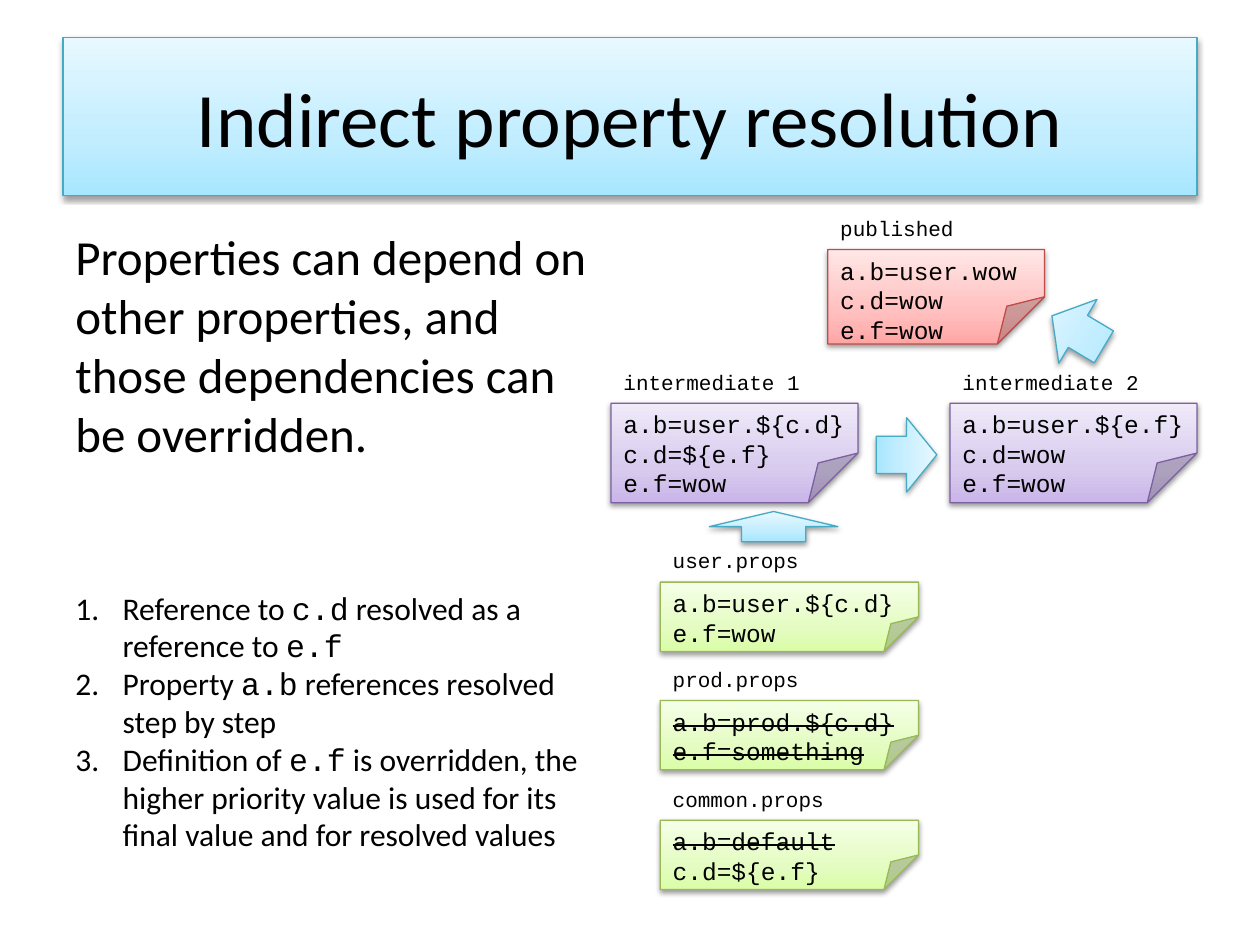
from copy import deepcopy
from dataclasses import dataclass

from lxml.etree import SubElement
from pptx import Presentation
from pptx.dml.color import RGBColor
from pptx.enum.shapes import MSO_SHAPE
from pptx.enum.text import MSO_ANCHOR, MSO_AUTO_SIZE, PP_ALIGN
from pptx.oxml.ns import qn
from pptx.util import Pt

EMU_PER_PX = 9144


@dataclass(frozen=True)
class Palette:
    bottom: str
    middle: str
    top: str
    outline: str


@dataclass(frozen=True)
class Theme:
    blue: Palette = Palette("A7E6FF", "C1EDFF", "E7F8FF", "46AAC5")
    green: Palette = Palette("DAFDA7", "E4FCC2", "F5FFE7", "98B955")
    red: Palette = Palette("FFA6A5", "FFC0BF", "FFE7E7", "BF4C48")
    purple: Palette = Palette("C9B5E8", "D8CBEE", "F0EAF9", "7D60A0")
    ink: str = "000000"
    prose: str = "Calibri"
    mono: str = "Courier New"
    title_size: int = 44
    body_size: int = 28
    list_size: int = 18
    code_size: int = 14
    label_size: int = 12


class SlideBuilder:
    def __init__(self, slide, theme):
        self.slide = slide
        self.theme = theme

    def px(self, *lengths):
        return [length * EMU_PER_PX for length in lengths]

    def run(self, paragraph, words, size, font, struck=False):
        run = paragraph.add_run()
        run.text = words
        run.font.size = Pt(size)
        run.font.name = font
        run.font.color.rgb = RGBColor.from_string(self.theme.ink)
        if struck:
            run._r.get_or_add_rPr().set("strike", "sngStrike")

    def paragraphs(self, frame, count):
        frame.word_wrap = True
        return [frame.paragraphs[0]] + [frame.add_paragraph() for _ in range(count - 1)]

    def panel(self, shapes, kind, box, palette):
        panel = shapes.add_shape(kind, *self.px(*box))
        panel.fill.gradient()
        panel.fill.gradient_angle = 90
        stops = panel._element.spPr.find(qn("a:gradFill")).find(qn("a:gsLst"))
        stops.insert(1, deepcopy(stops[0]))
        colours = (palette.bottom, palette.middle, palette.top)
        for stop, colour, position in zip(panel.fill.gradient_stops, colours, (0, 0.35, 1)):
            stop.color.rgb = RGBColor.from_string(colour)
            stop.position = position
        panel.line.color.rgb = RGBColor.from_string(palette.outline)
        panel.line.width = Pt(0.75)
        panel.shadow.inherit = False
        effects = panel._element.spPr.find(qn("a:effectLst"))
        shadow = SubElement(effects, qn("a:outerShdw"), blurRad="40000", dist="20000",
                            dir="5400000", rotWithShape="0")
        shade = SubElement(shadow, qn("a:srgbClr"), val=self.theme.ink)
        SubElement(shade, qn("a:alpha"), val="38000")
        return panel

    def title(self, words, box):
        banner = self.panel(self.slide.shapes, MSO_SHAPE.RECTANGLE, box, self.theme.blue)
        banner.text_frame.vertical_anchor = MSO_ANCHOR.MIDDLE
        heading = self.paragraphs(banner.text_frame, 1)[0]
        heading.alignment = PP_ALIGN.CENTER
        self.run(heading, words, self.theme.title_size, self.theme.prose)

    def text(self, shapes, words, box, size, font):
        frame = shapes.add_textbox(*self.px(*box)).text_frame
        self.run(self.paragraphs(frame, 1)[0], words, size, font)

    def numbered_list(self, items, box):
        frame = self.slide.shapes.add_textbox(*self.px(*box)).text_frame
        frame.vertical_anchor = MSO_ANCHOR.BOTTOM
        frame.auto_size = MSO_AUTO_SIZE.SHAPE_TO_FIT_TEXT
        for paragraph, pieces in zip(self.paragraphs(frame, len(items)), items):
            properties = paragraph._p.get_or_add_pPr()
            properties.set("marL", "342900")
            properties.set("indent", "-342900")
            SubElement(properties, qn("a:buAutoNum"), type="arabicPeriod")
            for index, words in enumerate(pieces):
                font = self.theme.mono if index % 2 else self.theme.prose
                self.run(paragraph, words, self.theme.list_size, font)

    def note(self, label, lines, box, palette, struck=0):
        left, top, width, _ = box
        shapes = self.slide.shapes.add_group_shape().shapes
        page = self.panel(shapes, MSO_SHAPE.FOLDED_CORNER, box, palette)
        geometry = page._element.spPr.find(qn("a:prstGeom"))
        SubElement(geometry.get_or_add_avLst(), qn("a:gd"), name="adj", fmla="val 49900")
        page.text_frame.vertical_anchor = MSO_ANCHOR.TOP
        for index, paragraph in enumerate(self.paragraphs(page.text_frame, len(lines))):
            paragraph.alignment = PP_ALIGN.LEFT
            self.run(paragraph, lines[index], self.theme.code_size, self.theme.mono,
                     index < struck)
        self.text(shapes, label, (left, top - 32, width, 30),
                  self.theme.label_size, self.theme.mono)

    def arrow(self, box, rotation=0):
        arrow = self.panel(self.slide.shapes, MSO_SHAPE.UP_ARROW, box, self.theme.blue)
        arrow.rotation = rotation


def main():
    deck = Presentation()
    deck.slide_width, deck.slide_height = 1000 * EMU_PER_PX, 750 * EMU_PER_PX
    theme = Theme()
    builder = SlideBuilder(deck.slides.add_slide(deck.slide_layouts[6]), theme)

    builder.title("Indirect property resolution", (50, 30, 900, 125))
    builder.text(
        builder.slide.shapes,
        "Properties can depend on other properties, and those dependencies can be overridden.",
        (50, 175, 442, 263), theme.body_size, theme.prose)
    builder.numbered_list([
        ("Reference to ", "c.d", " resolved as a reference to ", "e.f"),
        ("Property ", "a.b", " references resolved step by step"),
        ("Definition of ", "e.f", " is overridden, the higher priority value is used"
         " for its final value and for resolved values"),
    ], (50, 460, 442, 222))

    sources = [
        ("user.props", ("a.b=user.${c.d}", "e.f=wow"), 0),
        ("prod.props", ("a.b=prod.${c.d}", "e.f=something"), 2),
        ("common.props", ("a.b=default", "c.d=${e.f}"), 1),
    ]
    for index, (label, lines, struck) in enumerate(sources):
        top = 462 + index * 189 // 2
        builder.note(label, lines, (524, top, 205, 55), theme.green, struck)

    intermediates = [
        ("intermediate 1", ("a.b=user.${c.d}", "c.d=${e.f}", "e.f=wow"), 485),
        ("intermediate 2", ("a.b=user.${e.f}", "c.d=wow", "e.f=wow"), 754),
    ]
    for label, lines, left in intermediates:
        builder.note(label, lines, (left, 320, 196, 79), theme.purple)

    builder.note("published", ("a.b=user.wow", "c.d=wow", "e.f=wow"),
                 (657, 198, 172, 75), theme.red)

    builder.arrow((563, 406, 102, 24))
    builder.arrow((690, 337, 59, 48), 90)
    builder.arrow((826, 239, 59, 48), 300.9)

    deck.save("out.pptx")


if __name__ == "__main__":
    main()
